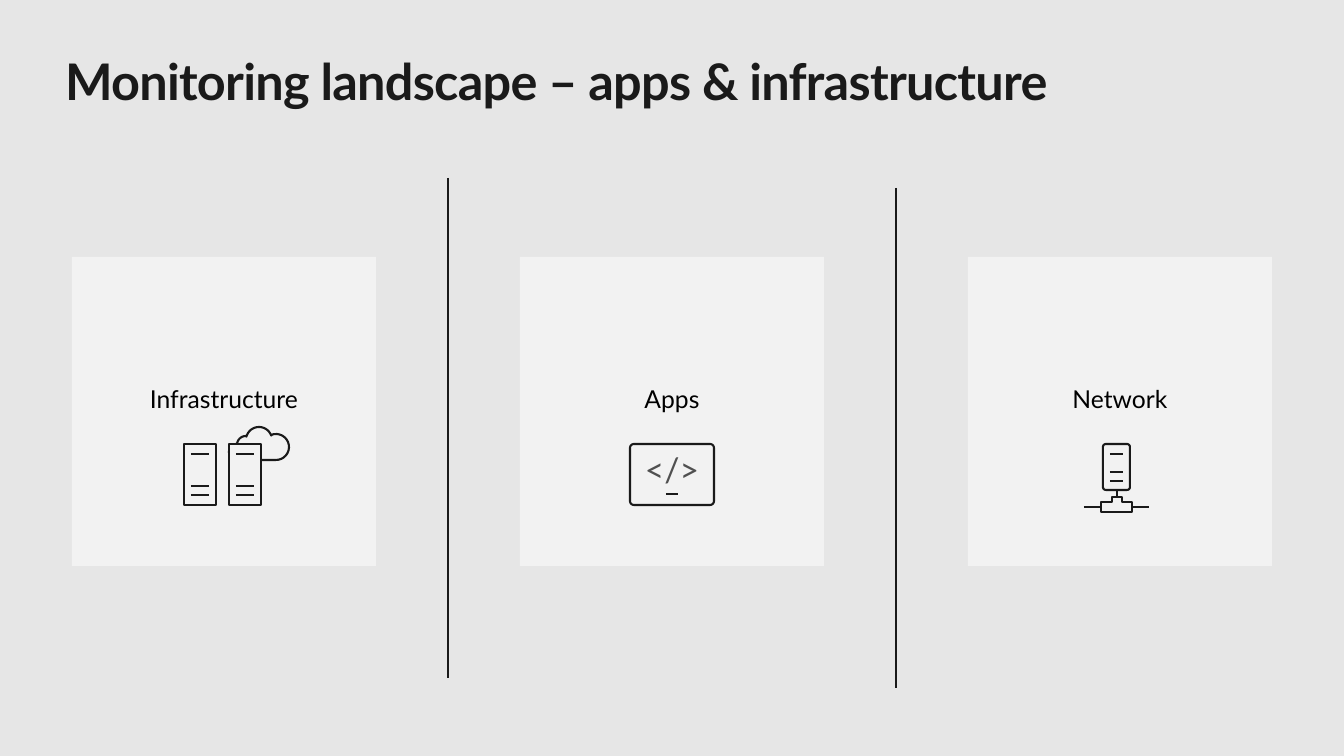
from math import cos, radians, sin

from lxml.etree import SubElement
from pptx import Presentation
from pptx.dml.color import RGBColor
from pptx.enum.shapes import MSO_CONNECTOR, MSO_SHAPE
from pptx.enum.text import MSO_ANCHOR, MSO_AUTO_SIZE, PP_ALIGN
from pptx.oxml.ns import qn
from pptx.util import Emu, Pt

TITLE = "Monitoring landscape – apps & infrastructure"
AREAS = [("Infrastructure", 175), ("Apps", 111), ("Network", 146)]  # label, box width
COLORS = {"back": "E6E6E6", "card": "F2F2F2", "ink": "1A1A1A",
          "label": "000000", "code": "505050"}
FONT = "Lato"
SLIDE_W, SLIDE_H = 1344, 756
COLUMN_W = SLIDE_W // len(AREAS)
CARD_W, CARD_H, CARD_TOP = 304, 309, 257
LABEL_TOP, LABEL_H = 379, 40
DIVIDER_TOP, DIVIDER_H, DIVIDER_STEP = 178, 500, 10

ICON_TOP, ICON_BOTTOM = 444, 505
RACK_LEFTS, RACK_W = (184, 229), 32
RACK_DASHES = (454, 486, 495)
# centre x, centre y, radius, start and end angle
CLOUD_ARCS = [(237, 452, 8, 90, 260), (246, 445, 9, 190, 270),
              (259, 440, 13, 195, 340), (276, 447, 13, 250, 450)]
HUB = [(1101, 512), (1101, 502), (1112, 502), (1112, 497),
       (1122, 497), (1122, 502), (1132, 502), (1132, 512)]
HUB_CABLES = [[(1084, 507), (1101, 507)], [(1132, 507), (1149, 507)],
              [(1117, 497), (1117, 490)]]
SERVER_DASHES = (454, 472, 481)


def px(n):
    return Emu(round(n * 12192000 / SLIDE_W))


def rgb(name):
    return RGBColor.from_string(COLORS[name])


def arc(cx, cy, radius, start, end, steps=16):
    angles = [radians(start + (end - start) * i / steps) for i in range(steps + 1)]
    return [(cx + radius * cos(a), cy + radius * sin(a)) for a in angles]


def rounded(left, top, right, bottom, radius):
    """Outline points of a rectangle with rounded corners."""
    corners = [(left, top, 1, 1), (right, top, -1, 1),
               (right, bottom, -1, -1), (left, bottom, 1, -1)]
    return [point for i, (x, y, dx, dy) in enumerate(corners)
            for point in arc(x + dx * radius, y + dy * radius, radius,
                             180 + 90 * i, 270 + 90 * i, 6)]


def dashes(left, right, rows):
    return [[(left, y), (right, y)] for y in rows]


def draw(shapes, outlines, strokes=(), fill=None):
    """Build one freeform from closed outlines and open strokes."""
    builder = None
    for path_points, close in [(o, True) for o in outlines] + [(k, False) for k in strokes]:
        points = [(px(x), px(y)) for x, y in path_points]
        if builder is None:
            builder = shapes.build_freeform(*points[0])
        else:
            builder.move_to(*points[0])
        builder.add_line_segments(points[1:], close=close)
    sp = builder.convert_to_shape()
    sp.shadow.inherit = False
    if fill:
        sp.fill.solid()
        sp.fill.fore_color.rgb = rgb(fill)
    else:
        sp.fill.background()
    sp.line.color.rgb = rgb("ink")
    sp.line.width = Pt(1.5)
    return sp


def write(tf, text, size, color, align=PP_ALIGN.CENTER):
    p = tf.paragraphs[0]
    p.alignment = align
    r = p.add_run()
    r.text = text
    r.font.name = FONT
    r.font.size = Pt(size)
    r.font.color.rgb = rgb(color)
    return r


def add_title(s):
    sp = s.shapes.title
    sp.left, sp.top, sp.width, sp.height = px(65), px(50), px(1215), px(61)
    tf = sp.text_frame
    tf.margin_left = tf.margin_top = tf.margin_right = tf.margin_bottom = 0
    tf.vertical_anchor = MSO_ANCHOR.TOP
    tf.auto_size = MSO_AUTO_SIZE.SHAPE_TO_FIT_TEXT
    r = write(tf, TITLE, 36, "ink", PP_ALIGN.LEFT)
    r.font.bold = True
    r._r.get_or_add_rPr().set("spc", "-50")


def add_area(s, column, label, label_w):
    center = COLUMN_W * column + COLUMN_W / 2
    card = s.shapes.add_shape(MSO_SHAPE.RECTANGLE, px(center - CARD_W / 2),
                              px(CARD_TOP), px(CARD_W), px(CARD_H))
    card.shadow.inherit = False
    card.fill.solid()
    card.fill.fore_color.rgb = rgb("card")
    card.line.fill.background()
    box = s.shapes.add_textbox(px(center - label_w / 2), px(LABEL_TOP),
                               px(label_w), px(LABEL_H))
    box.text_frame.word_wrap = True
    write(box.text_frame, label, 17.6, "label")


def add_divider(s, number):
    x = COLUMN_W * number
    top = DIVIDER_TOP + DIVIDER_STEP * (number - 1)
    line = s.shapes.add_connector(MSO_CONNECTOR.STRAIGHT, px(x), px(top),
                                  px(x), px(top + DIVIDER_H))
    line.line.color.rgb = rgb("ink")
    line.line.width = Pt(1.5)
    SubElement(line._element.spPr, qn("a:effectLst"))


def add_infrastructure_icon(s):
    group = s.shapes.add_group_shape()
    draw(group.shapes, [[point for a in CLOUD_ARCS for point in arc(*a)]])
    for left in RACK_LEFTS:
        right = left + RACK_W
        rack = [(left, ICON_TOP), (right, ICON_TOP),
                (right, ICON_BOTTOM), (left, ICON_BOTTOM)]
        draw(group.shapes, [rack], dashes(left + 7, right - 7, RACK_DASHES), "card")


def add_apps_icon(s):
    screen = draw(s.shapes, [rounded(630, ICON_TOP, 714, ICON_BOTTOM, 4)],
                  dashes(666, 678, [494]))
    screen.text_frame.vertical_anchor = MSO_ANCHOR.TOP
    write(screen.text_frame, "</>", 24, "code")


def add_network_icon(s):
    draw(s.shapes, [HUB, rounded(1103, ICON_TOP, 1130, 490, 3)],
         HUB_CABLES + dashes(1110, 1123, SERVER_DASHES))


def main():
    prs = Presentation()
    prs.slide_width, prs.slide_height = px(SLIDE_W), px(SLIDE_H)
    s = prs.slides.add_slide(prs.slide_layouts[5])
    s.background.fill.solid()
    s.background.fill.fore_color.rgb = rgb("back")
    add_title(s)
    for column, (label, label_w) in enumerate(AREAS):
        add_area(s, column, label, label_w)
        if column:
            add_divider(s, column)
    add_infrastructure_icon(s)
    add_apps_icon(s)
    add_network_icon(s)
    prs.save("out.pptx")


if __name__ == "__main__":
    main()
